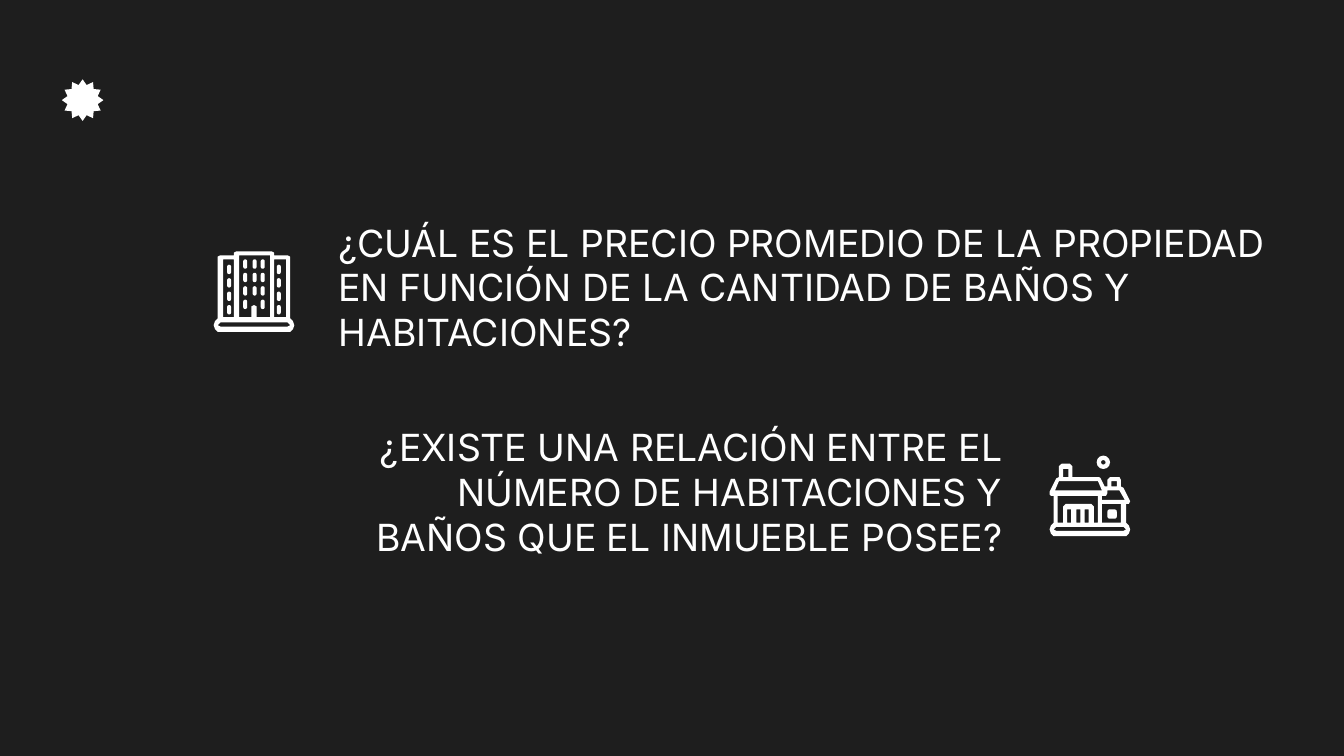
from itertools import product
from pptx import Presentation
from pptx.dml.color import RGBColor as RGB
from pptx.enum.shapes import MSO_SHAPE as Kind
from pptx.enum.text import MSO_ANCHOR as Anchor, PP_ALIGN as Align
from pptx.util import Pt

PX = 9144  # 100 px to the inch
HUES = {"back": "1E1E1E", "ink": "FFFFFF"}
INK = RGB.from_string(HUES["ink"])


def paint(shape):
    shape.shadow.inherit = False
    shape.fill.solid()
    shape.fill.fore_color.rgb = INK
    shape.line.fill.background()


def box(l, t, r, b):
    """Corners of a rectangle, used as one ring of an icon."""
    return [(l, t), (r, t), (r, b), (l, b)]


deck = Presentation()
deck.slide_width = 1000 * PX
deck.slide_height = deck.slide_width * 9 // 16
slide = deck.slides.add_slide(deck.slide_layouts[6])
slide.background.fill.solid()
slide.background.fill.fore_color.rgb = RGB.from_string(HUES["back"])

star = slide.shapes.add_shape(Kind.STAR_12_POINT, 46 * PX, 59 * PX, 31 * PX, 31 * PX)
star.adjustments[0] = 0.375
paint(star)

# Questions: left, top, width, height, alignment, text
asks = [
    (242, 170, 736, 87, Align.LEFT,
     "¿CUÁL ES EL PRECIO PROMEDIO DE LA PROPIEDAD EN FUNCIÓN DE LA CANTIDAD DE BAÑOS Y HABITACIONES?"),
    (229, 341, 527, 50, Align.RIGHT,
     "¿EXISTE UNA RELACIÓN ENTRE EL NÚMERO DE HABITACIONES Y BAÑOS QUE EL INMUEBLE POSEE?"),
]
for x, y, w, h, side, words in asks:
    frame = slide.shapes.add_textbox(x * PX, y * PX, w * PX, h * PX).text_frame
    frame.word_wrap = True
    frame.vertical_anchor = Anchor.MIDDLE
    frame.margin_left = frame.margin_right = 10 * PX
    frame.margin_top = frame.margin_bottom = 10 * PX
    para = frame.paragraphs[0]
    para.alignment = side
    run = para.add_run()
    run.text = words
    run.font.name, run.font.size = "Inter", Pt(20)
    run.font.color.rgb = INK

# Icons: the first ring is the outline, the others are holes
tower = [
    [(176, 187), (174, 188), (174, 190), (164, 190), (162, 191), (162, 237),
     (160, 239), (159, 242), (160, 245), (162, 247), (216, 247), (218, 245),
     (219, 242), (218, 239), (216, 237), (216, 191), (214, 190), (204, 190),
     (204, 188), (202, 187)],
    box(166, 193, 174, 236),
    box(204, 193, 213, 236),
    [(178, 190), (201, 190), (201, 236), (191, 236), (191, 228), (189, 227),
     (187, 228), (187, 236), (178, 236)],
    [(164, 240), (214, 240), (216, 242), (214, 243), (164, 243), (162, 242)],
]
house = [
    [(790, 345), (788, 347), (788, 355), (786, 356), (781, 366), (781, 368),
     (782, 369), (784, 369), (784, 389), (782, 391), (781, 394), (782, 397),
     (784, 399), (838, 399), (840, 397), (841, 394), (840, 391), (838, 389),
     (838, 375), (840, 375), (841, 373), (836, 363), (834, 362), (834, 357),
     (833, 355), (826, 355), (824, 357), (824, 362), (822, 362), (819, 356),
     (818, 355), (798, 355), (798, 347), (796, 345)],
    box(791, 349, 795, 355),
    box(827, 358, 831, 362),
    [(788, 358), (817, 358), (820, 365), (785, 365)],
    [(824, 365), (833, 365), (837, 372), (820, 372), (820, 369), (823, 369), (824, 367)],
    [(787, 369), (817, 369), (817, 389), (814, 389), (814, 377), (812, 375),
     (793, 375), (791, 377), (791, 389), (787, 389)],
    *[box(x, 379, x + 3, 389) for x in (794, 801, 807)],
    box(820, 375, 834, 389),
    [(786, 392), (836, 392), (838, 394), (836, 395), (786, 395), (784, 394)],
]
icons = []
for rings in (tower, house):
    group = slide.shapes.add_group_shape()
    pen = group.shapes.build_freeform(*rings[0][0], scale=PX)
    pen.add_line_segments(rings[0][1:])
    for ring in rings[1:]:
        pen.move_to(*ring[0])
        pen.add_line_segments(ring[1:])
    paint(pen.convert_to_shape())
    icons.append(group)

# Small parts: icon, kind, left, top, width, height, adjustment
pill = Kind.ROUNDED_RECTANGLE
parts = [(0, pill, x, y, 3, 7, 0.5)
         for x, y in product((169, 206), range(197, 228, 10))]
parts += [(0, pill, x, y, 3, 7, 0.5)
          for x, y in product((181, 188, 194), range(193, 224, 10))
          if (x, y) != (188, 223)]
parts += [(1, pill, 824, 379, 7, 7, 0.25), (1, Kind.DONUT, 816, 339, 10, 10, 0.33)]
for icon, kind, x, y, w, h, bend in parts:
    part = icons[icon].shapes.add_shape(kind, x * PX, y * PX, w * PX, h * PX)
    part.adjustments[0] = bend
    paint(part)

deck.save("out.pptx")
